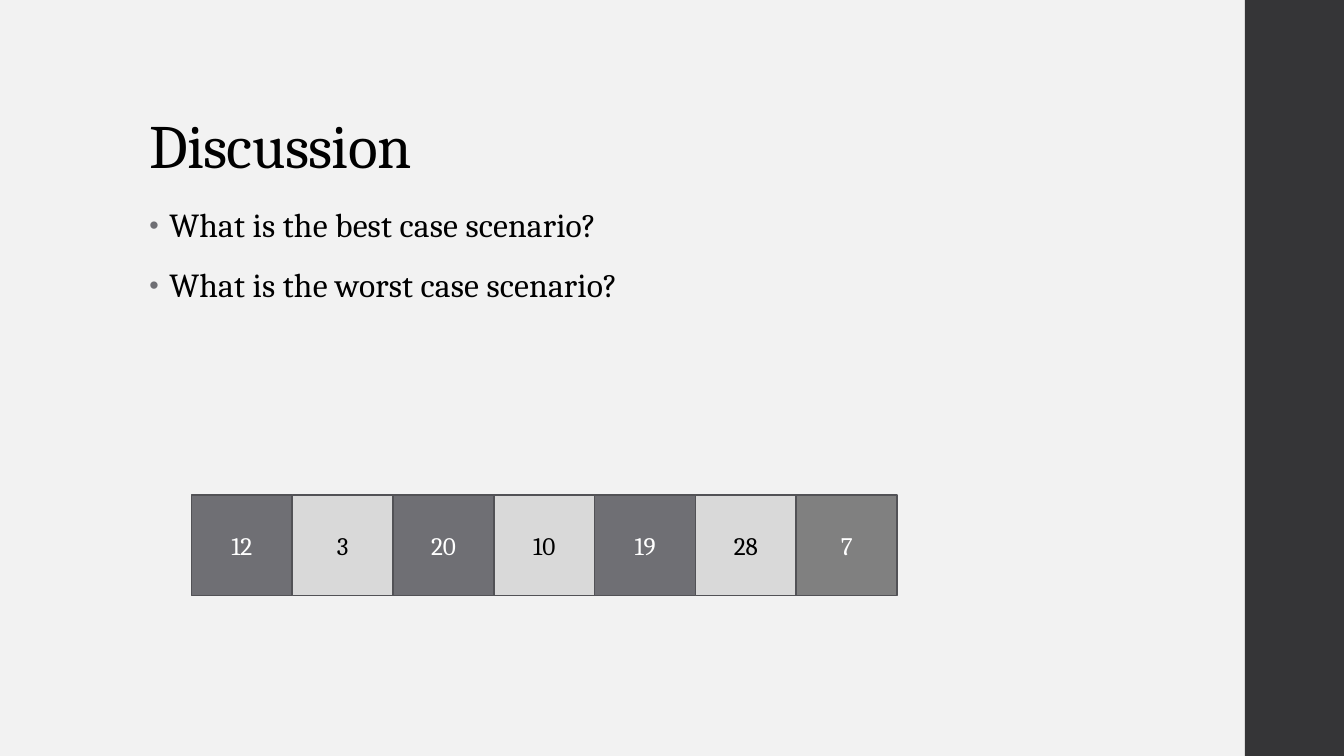
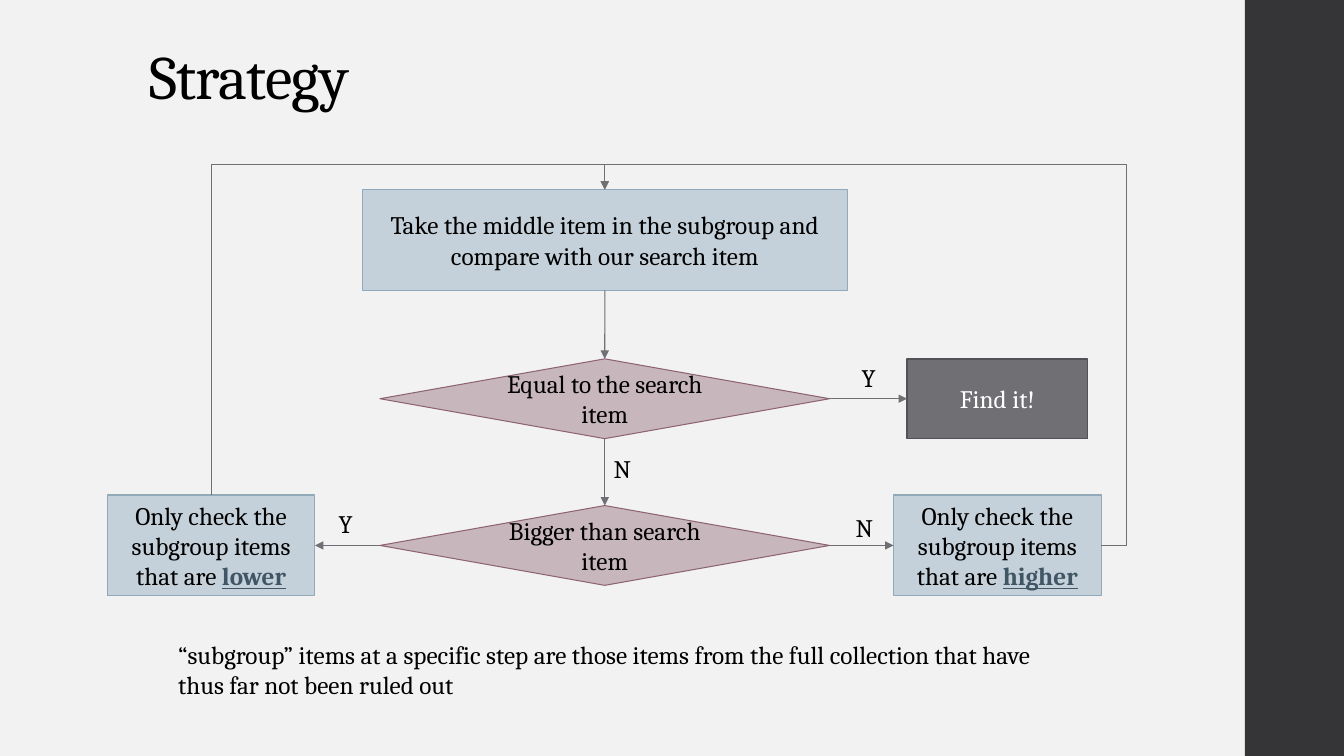
from pptx import Presentation
from pptx.dml.color import RGBColor
from pptx.enum.shapes import MSO_CONNECTOR, MSO_SHAPE
from pptx.enum.text import MSO_ANCHOR, MSO_AUTO_SIZE, PP_ALIGN
from pptx.oxml.ns import qn
from pptx.oxml.xmlchemy import OxmlElement
from pptx.util import Pt

COLORS = {
    "background": "F2F2F2",
    "band": "353537",
    "text": "000000",
    "light_text": "FFFFFF",
    "accent": "6F6F74",
    "accent_edge": "525256",
    "pale_cell": "D9D9D9",
    "last_cell": "808080",
    "step": "C5D1DA",
    "step_edge": "92A9B9",
    "decision": "C7B6BC",
    "decision_edge": "8D6374",
    "emphasis": "415665",
}
FONT = "Cambria"
TITLE_FRAME = {
    "vertical_anchor": MSO_ANCHOR.BOTTOM,
    "auto_size": MSO_AUTO_SIZE.NONE,
    "word_wrap": True,
}
BODY_FRAME = {**TITLE_FRAME, "vertical_anchor": MSO_ANCHOR.TOP}
LABEL_FRAME = {"auto_size": MSO_AUTO_SIZE.SHAPE_TO_FIT_TEXT, "word_wrap": False}
EMPHASIS = {"bold": True, "underline": True}
NODE_STYLES = {
    "step": (MSO_SHAPE.FLOWCHART_PROCESS, "step", "step_edge", 0.75, "text"),
    "decision": (MSO_SHAPE.FLOWCHART_DECISION, "decision", "decision_edge", 0.75, "text"),
    "result": (MSO_SHAPE.FLOWCHART_PROCESS, "accent", "accent_edge", 1.1, "light_text"),
}
AXIS = 432
TOP, LEFT, BOTTOM, RIGHT = range(4)


def apply(target, values):
    """Set each named attribute of the target."""
    for name, value in values.items():
        setattr(target, name, value)


def rgb(name):
    """Return the palette colour with this name."""
    return RGBColor.from_string(COLORS[name])


def add_text(paragraph, text, size=18, color="text", spacing=None, **font_values):
    """Add one formatted run to the paragraph."""
    run = paragraph.add_run()
    run.text = text
    apply(run.font, {"name": FONT, "size": Pt(size), **font_values})
    run.font.color.rgb = rgb(color)
    if spacing is not None:
        run.font._element.set("spc", str(round(spacing * 100)))


def place(shape, left, top, width, height):
    """Move and size a shape in points."""
    apply(shape, {"left": Pt(left), "top": Pt(top),
                  "width": Pt(width), "height": Pt(height)})


def add_box(slide, kind, box, fill, edge=None, weight=0.75):
    """Add a filled shape with an optional outline."""
    shape = slide.shapes.add_shape(kind, *map(Pt, box))
    shape.shadow.inherit = False
    shape.fill.solid()
    shape.fill.fore_color.rgb = rgb(fill)
    if edge:
        shape.line.color.rgb = rgb(edge)
        shape.line.width = Pt(weight)
    else:
        shape.line.fill.background()
    return shape


def add_title(slide, text, height):
    """Fill the title placeholder."""
    title = slide.shapes.title
    place(title, 99.4, 28.8, 763.2, height)
    apply(title.text_frame, TITLE_FRAME)
    paragraph = title.text_frame.paragraphs[0]
    apply(paragraph, {"alignment": PP_ALIGN.LEFT, "line_spacing": 0.9})
    add_text(paragraph, text, 44, spacing=-0.5)


def add_bullet(paragraph):
    """Give the paragraph a small grey bullet with a hanging indent."""
    properties = paragraph._p.get_or_add_pPr()
    apply(properties, {})
    properties.set("marL", str(Pt(14.4)))
    properties.set("indent", str(-Pt(14.4)))
    bullet_color = OxmlElement("a:buClr")
    swatch = OxmlElement("a:srgbClr")
    swatch.set("val", COLORS["accent"])
    bullet_color.append(swatch)
    bullet_size = OxmlElement("a:buSzPct")
    bullet_size.set("val", "80000")
    bullet = OxmlElement("a:buChar")
    bullet.set("char", "•")
    for part in (bullet_color, bullet_size, bullet):
        properties.append(part)


def add_questions(slide, questions):
    """Fill the body placeholder with a bulleted list."""
    body = slide.placeholders[1]
    place(body, 99.4, 144, 676.8, 162.7)
    frame = body.text_frame
    apply(frame, BODY_FRAME)
    for index, question in enumerate(questions):
        paragraph = frame.add_paragraph() if index else frame.paragraphs[0]
        add_bullet(paragraph)
        apply(paragraph, {"line_spacing": 0.95, "space_after": Pt(2),
                          "space_before": Pt(14 if index else 0)})
        add_text(paragraph, question, 24, spacing=0.1)


def add_cells(slide, numbers):
    """Draw the numbers as a row of touching squares."""
    side = 72
    for index, number in enumerate(numbers):
        fill, color = (("pale_cell", "text") if index % 2
                       else ("accent", "light_text"))
        if index == len(numbers) - 1:
            fill = "last_cell"
        cell = add_box(slide, MSO_SHAPE.RECTANGLE,
                       (136.8 + index * side, 353.5, side, side),
                       fill, "accent_edge", 1.1)
        paragraph = cell.text_frame.paragraphs[0]
        paragraph.alignment = PP_ALIGN.CENTER
        add_text(paragraph, str(number), color=color)


def add_node(slide, style, center, size, text, emphasized=""):
    """Add a flowchart node around its centre point."""
    kind, fill, edge, weight, color = NODE_STYLES[style]
    (x, y), (width, height) = center, size
    node = add_box(slide, kind, (x - width / 2, y - height / 2, width, height),
                   fill, edge, weight)
    paragraph = node.text_frame.paragraphs[0]
    paragraph.alignment = PP_ALIGN.CENTER
    add_text(paragraph, text, color=color)
    if emphasized:
        add_text(paragraph, emphasized, color="emphasis", **EMPHASIS)
    return node


def add_arrow(slide, start, start_site, end, end_site, kind=MSO_CONNECTOR.STRAIGHT):
    """Join two nodes with an arrow."""
    arrow = slide.shapes.add_connector(kind, 0, 0, 0, 0)
    arrow.begin_connect(start, start_site)
    arrow.end_connect(end, end_site)
    arrow.line.color.rgb = rgb("accent")
    arrow.line.width = Pt(0.75)
    head = OxmlElement("a:tailEnd")
    head.set("type", "triangle")
    properties = arrow.element.spPr
    properties.find(qn("a:ln")).append(head)
    properties.append(OxmlElement("a:effectLst"))
    return arrow


def bend(arrow, preset, *adjustments):
    """Set the preset and bend positions of an elbow arrow."""
    geometry = arrow.element.spPr.find(qn("a:prstGeom"))
    geometry.set("prst", preset)
    guides = geometry.find(qn("a:avLst"))
    for index, value in enumerate(adjustments, 1):
        guide = OxmlElement("a:gd")
        guide.set("name", f"adj{index}")
        guide.set("fmla", f"val {round(value * 100000)}")
        guides.append(guide)


def turn_upward(arrow):
    """Rotate an elbow arrow a quarter turn so that it starts upward."""
    left, top, width, height = arrow.left, arrow.top, arrow.width, arrow.height
    shift = (width - height) // 2
    apply(arrow, {"left": left + shift, "top": top - shift,
                  "width": height, "height": width})
    frame = arrow.element.spPr.find(qn("a:xfrm"))
    for name, value in {"rot": "5400000", "flipH": "1", "flipV": "1"}.items():
        frame.set(name, value)


def add_return_arrows(slide, lower, higher, compare):
    """Lead both subgroup steps back over the top to the comparison."""
    clearance = Pt(18)
    from_lower = add_arrow(slide, lower, TOP, compare, TOP, MSO_CONNECTOR.ELBOW)
    bend(from_lower, "bentConnector3", 1 + clearance / from_lower.height)
    turn_upward(from_lower)
    from_higher = add_arrow(slide, higher, RIGHT, compare, TOP, MSO_CONNECTOR.ELBOW)
    bend(from_higher, "bentConnector4", -clearance / from_higher.width,
         1 + clearance / from_higher.height)


def add_label(slide, box, *lines):
    """Add an unwrapped text box with one paragraph a line."""
    frame = slide.shapes.add_textbox(*map(Pt, box)).text_frame
    apply(frame, LABEL_FRAME)
    for index, line in enumerate(lines):
        paragraph = frame.add_paragraph() if index else frame.paragraphs[0]
        add_text(paragraph, line)


def add_master_band(presentation, slide):
    """Give the master its background and side band."""
    master = presentation.slide_master
    master.background.fill.solid()
    master.background.fill.fore_color.rgb = rgb("background")
    band = add_box(slide, MSO_SHAPE.RECTANGLE, (889.2, 0, 70.8, 540), "band")
    band.element.nvSpPr.cNvPr.set("id", "100")
    master.shapes.element.insert(2, band.element)


def build_discussion(slide):
    """Build the slide with the questions and the number row."""
    add_title(slide, "Discussion", 104.4)
    add_questions(slide, ["What is the best case scenario?",
                          "What is the worst case scenario?"])
    add_cells(slide, [12, 3, 20, 10, 19, 28, 7])


def build_strategy(slide):
    """Build the slide with the search flowchart."""
    add_title(slide, "Strategy", 55.4)
    equal_row, bigger_row = 284.8, 389.6
    decision_size, subgroup_size = (321.2, 57), (148.4, 72)
    subgroup_text = "Only check the subgroup items that are "
    compare = add_node(slide, "step", (AXIS, 171.4), (346.4, 72),
                       "Take the middle item in the subgroup and compare with our search item")
    equal = add_node(slide, "decision", (AXIS, equal_row), decision_size,
                     "Equal to the search item")
    found = add_node(slide, "result", (712.4, equal_row), (129, 57), "Find it!")
    bigger = add_node(slide, "decision", (AXIS, bigger_row), decision_size,
                      "Bigger than search item")
    lower = add_node(slide, "step", (150.8, bigger_row), subgroup_size,
                     subgroup_text, "lower")
    higher = add_node(slide, "step", (712.4, bigger_row), subgroup_size,
                      subgroup_text, "higher")
    for link in ((compare, BOTTOM, equal, TOP), (equal, RIGHT, found, LEFT),
                 (equal, BOTTOM, bigger, TOP), (bigger, LEFT, lower, RIGHT),
                 (bigger, RIGHT, higher, LEFT)):
        add_arrow(slide, *link)
    add_return_arrows(slide, lower, higher, compare)
    for answer, left, top, width in (("Y", 608.4, 254.9, 27.4), ("Y", 234.7, 359.3, 27.4),
                                     ("N", 431.3, 320.4, 29.5), ("N", 604.1, 362.2, 29.5)):
        add_label(slide, (left, top, width, 29), answer)
    add_label(slide, (120.2, 452.9, 709.9, 51),
              "“subgroup” items at a specific step are those items from the full collection that have",
              "thus far not been ruled out")


def main():
    """Build and save the presentation."""
    presentation = Presentation()
    apply(presentation, {"slide_width": Pt(960), "slide_height": Pt(540)})
    layouts = presentation.slide_layouts
    discussion = presentation.slides.add_slide(layouts.get_by_name("Title and Content"))
    add_master_band(presentation, discussion)
    build_discussion(discussion)
    build_strategy(presentation.slides.add_slide(layouts.get_by_name("Title Only")))
    presentation.save("out.pptx")


if __name__ == "__main__":
    main()
